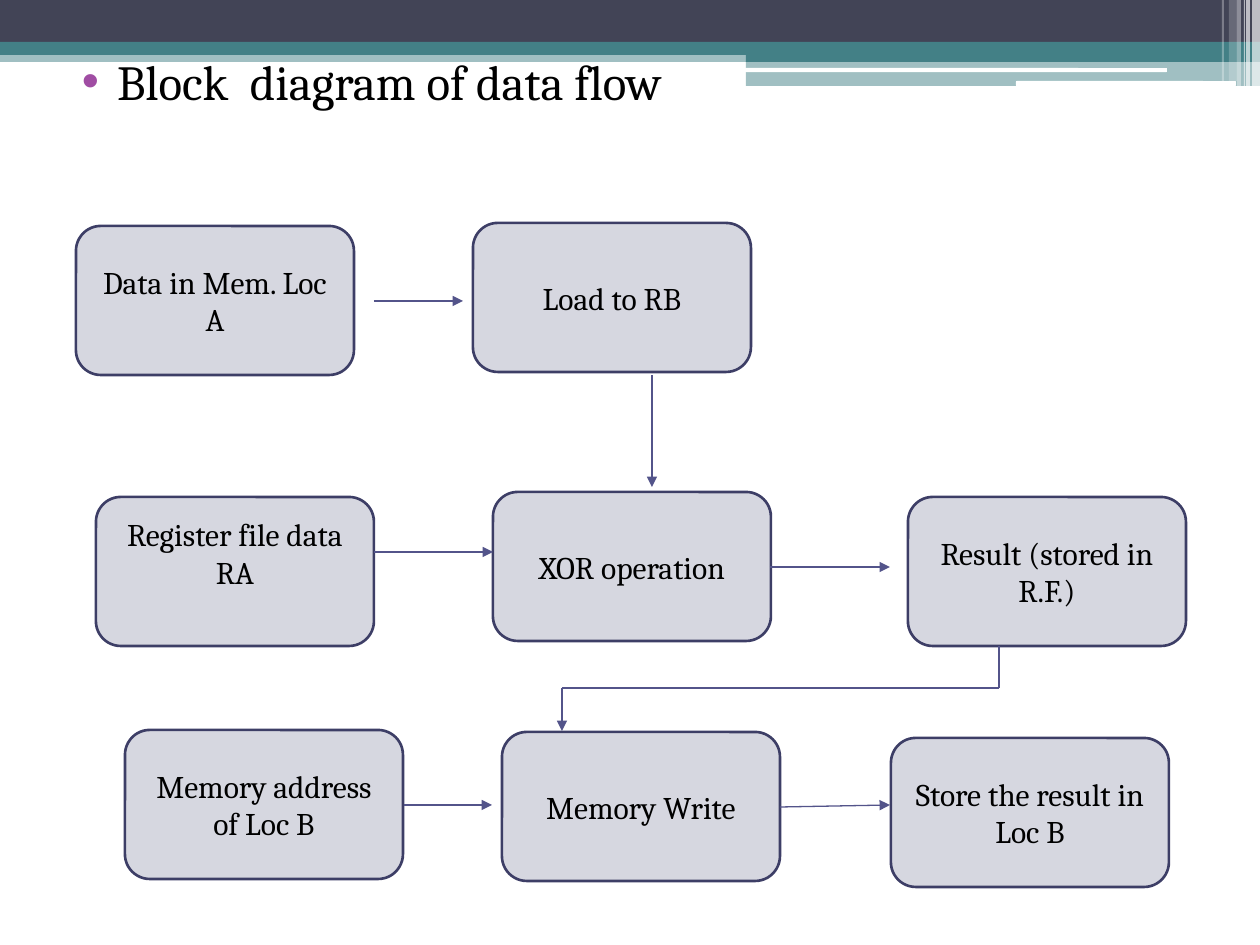
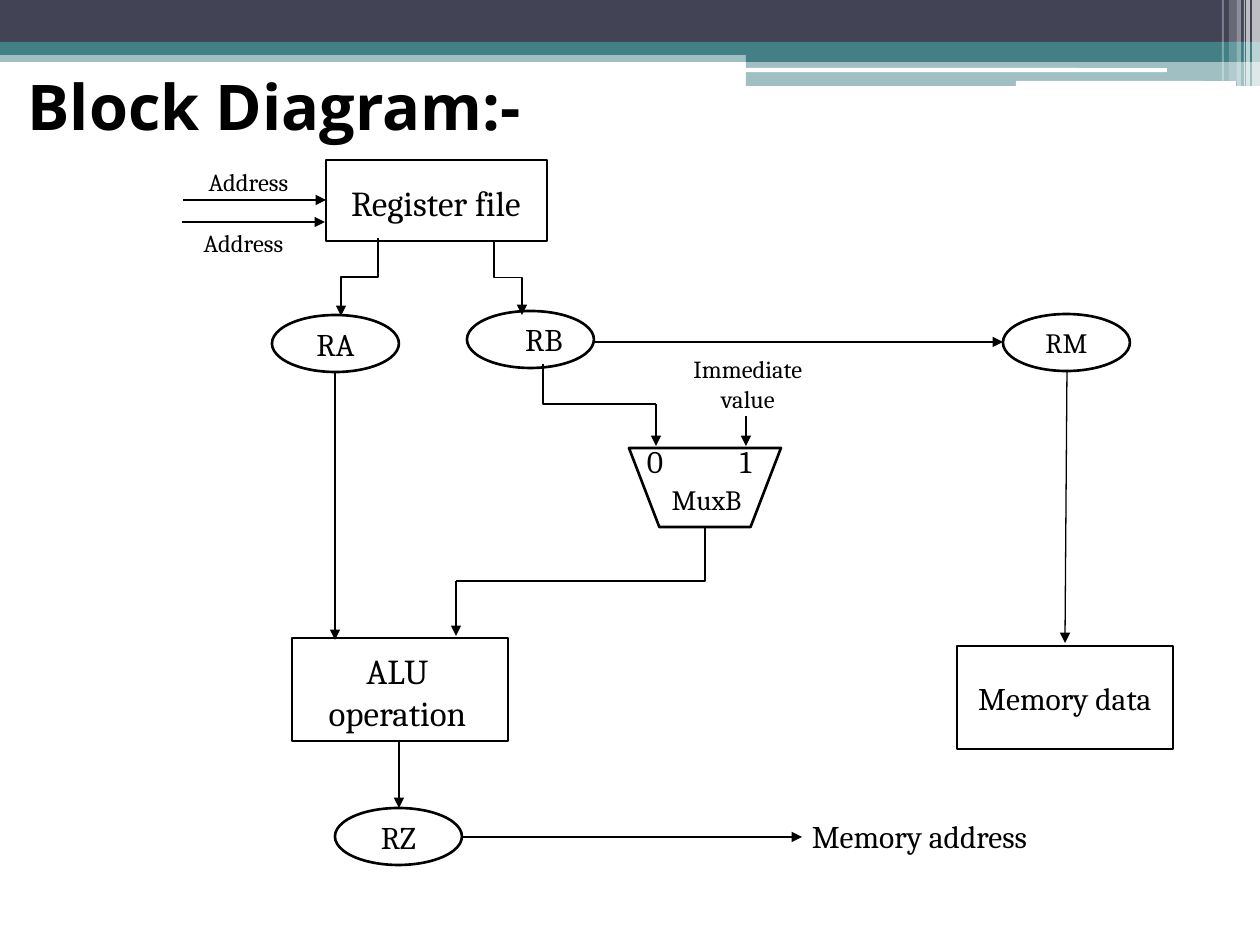
"""Build two slides on a processor data flow."""
from dataclasses import dataclass

from lxml import etree
from pptx import Presentation
from pptx import util as u
from pptx.dml.color import RGBColor
from pptx.enum import shapes, text
from pptx.oxml.ns import qn

EMU_PER_PIXEL = 914400 / 126
COLORS = {
    "slate": "424456", "teal": "438086", "white": "FFFFFF", "black": "000000",
    "box": "D6D7E0", "box_line": "3D3E66", "arrow": "53548A", "bullet": "A04DA3",
}
BODY_FONT, TITLE_FONT = "Cambria", "Open Sans"
KIND = shapes.MSO_SHAPE
WIDTH, HEIGHT = 1260, 945


def px(length):
    """Turn pixels into EMU."""
    return u.Emu(round(length * EMU_PER_PIXEL))


def color(name):
    """Look up a named colour."""
    return RGBColor.from_string(COLORS[name])


def write(frame, content, size, align=text.PP_ALIGN.CENTER, font=BODY_FONT, bold=False):
    """Fill a text frame, one paragraph for each line."""
    frame.text = content
    for paragraph in frame.paragraphs:
        paragraph.alignment = align
        paragraph.font.name = font
        paragraph.font.size = u.Pt(size)
        paragraph.font.bold = bold
        paragraph.font.color.rgb = color("black")


def place(shape, left, top, width, height):
    """Move and size a shape."""
    shape.left, shape.top, shape.width, shape.height = map(px, (left, top, width, height))


@dataclass
class Area:
    """A region of a slide; its parts are placed from its left top corner."""
    slide: object
    left: float
    top: float
    line_color: str = "black"

    def box(self, kind, left, top, width, height, fill="white", line=None, alpha=None):
        """Add a filled preset shape, with an outline if a line colour is given."""
        shape = self.slide.shapes.add_shape(
            kind, px(self.left + left), px(self.top + top), px(width), px(height))
        shape.shadow.inherit = False
        shape.fill.solid()
        shape.fill.fore_color.rgb = color(fill)
        if alpha:
            tint = shape.fill._xPr.find(".//" + qn("a:srgbClr"))
            etree.SubElement(tint, qn("a:alpha"), val=str(alpha * 1000))
        if line:
            shape.line.color.rgb = color(line)
            shape.line.width = u.Pt(1.5)
        else:
            shape.line.fill.background()
        return shape

    def node(self, kind, left, top, width, height, content="", size=18):
        """Add a white outlined block, with centred text if there is any."""
        shape = self.box(kind, left, top, width, height, line="black")
        if content:
            write(shape.text_frame, content, size)
        return shape

    def register(self, left, top, content="", size=18):
        """Add the ellipse of a register."""
        return self.node(KIND.OVAL, left, top, 127, 57, content, size)

    def label(self, left, top, width, height, content, size):
        """Add a centred text box that does not wrap."""
        frame = self.slide.shapes.add_textbox(
            px(self.left + left), px(self.top + top), px(width), px(height)).text_frame
        frame.word_wrap = False
        write(frame, content, size)

    def connector(self, kind, start, end, arrow):
        """Add a thin connector, with an arrowhead at its end if wanted."""
        connector = self.slide.shapes.add_connector(
            kind, px(self.left + start[0]), px(self.top + start[1]),
            px(self.left + end[0]), px(self.top + end[1]))
        connector.line.color.rgb = color(self.line_color)
        connector.line.width = u.Pt(0.75)
        if arrow:
            etree.SubElement(connector.line._get_or_add_ln(), qn("a:tailEnd"), type="triangle")
        etree.SubElement(connector._element.spPr, qn("a:effectLst"))
        return connector

    def route(self, *points):
        """Join points by straight lines; the last one is an arrow."""
        for start, end in zip(points, points[1:]):
            self.connector(shapes.MSO_CONNECTOR.STRAIGHT, start, end, end is points[-1])

    def elbow(self, start, end, bends=2):
        """Add a bent connector that leaves downwards; one with two bends is an arrow."""
        center_x, center_y = (start[0] + end[0]) / 2, (start[1] + end[1]) / 2
        half_width, half_height = abs(end[0] - start[0]) / 2, (end[1] - start[1]) / 2
        side = 1 if end[0] < start[0] else -1
        connector = self.connector(
            shapes.MSO_CONNECTOR.ELBOW,
            (center_x - side * half_height, center_y - half_width),
            (center_x + side * half_height, center_y + half_width), bends == 2)
        properties = connector._element.spPr
        turn = 90 if side == 1 else 270
        properties.find(qn("a:xfrm")).set("rot", str(turn * 60000))
        properties.find(qn("a:prstGeom")).set("prst", f"bentConnector{bends + 1}")


def header_band(slide):
    """Draw the bands and stripes along the top edge."""
    area = Area(slide, 0, 0)
    for left, top, height, fill, alpha in (
            (0, 50, 12, "teal", 50), (0, 0, 43, "slate", None), (0, 42, 13, "teal", None),
            (746, 49, 13, "teal", None), (746, 61, 25, "teal", 50)):
        area.box(KIND.RECTANGLE, left, top, WIDTH - left, height, fill, alpha=alpha)
    area.box(KIND.ROUNDED_RECTANGLE, 745, 68, 422, 4)
    area.box(KIND.ROUNDED_RECTANGLE, 1016, 81, 220, 5)
    for left, width, height, alpha in (
            (1252, 8, 86, 65), (1246, 4, 86, 65), (1244, 1, 86, 60),
            (1237, 4, 86, 40), (1229, 8, 81, 20), (1222, 2, 81, 30)):
        area.box(KIND.RECTANGLE, left, 0, width, height, alpha=alpha)


def bullet_heading(slide, box, content):
    """Put one bulleted line into the body placeholder and drop the title."""
    title = slide.shapes.title._element
    title.getparent().remove(title)
    body = slide.placeholders[1]
    place(body, *box)
    write(body.text_frame, content, 28, text.PP_ALIGN.LEFT)
    paragraph = body.text_frame.paragraphs[0]
    paragraph.space_before = u.Pt(3)
    properties = paragraph._p.get_or_add_pPr()
    properties.set("marL", str(u.Inches(0.4)))
    properties.set("indent", str(u.Inches(-0.28)))
    bullet_color = etree.Element(qn("a:buClr"))
    etree.SubElement(bullet_color, qn("a:srgbClr"), val=COLORS["bullet"])
    bullet = etree.Element(qn("a:buChar"), char="•")
    spacing = properties.find(qn("a:spcBef"))
    spacing.addnext(bullet_color)
    bullet_color.addnext(bullet)


def flow_diagram(slide, left, top):
    """Draw the rounded steps of the data flow and their arrows."""
    area = Area(slide, left, top, "arrow")
    for step_left, step_top, content in (
            (0, 3, "Data in Mem. Loc A"), (397, 0, "Load to RB"),
            (20, 274, "Register file data\nRA"), (417, 269, "XOR operation"),
            (832, 274, "Result (stored in R.F.)"), (49, 507, "Memory address of Loc B"),
            (426, 509, "Memory Write"), (815, 515, "Store the result in Loc B")):
        step = area.box(KIND.ROUNDED_RECTANGLE, step_left, step_top, 278, 149,
                        "box", "box_line")
        write(step.text_frame, content, 18)
        if "\n" in content:
            step.text_frame.margin_bottom = px(44)
    for points in (
            ((298, 78), (387, 78)), ((298, 329), (417, 329)), ((576, 152), (576, 264)),
            ((694, 344), (814, 344)), ((923, 423), (923, 465), (486, 465), (486, 508)),
            ((328, 582), (416, 582)), ((704, 584), (814, 582))):
        area.route(*points)


def slide_title(slide, box, content):
    """Format the title placeholder."""
    title = slide.shapes.title
    place(title, *box)
    frame = title.text_frame
    frame.auto_size = text.MSO_AUTO_SIZE.NONE
    frame.vertical_anchor = text.MSO_ANCHOR.MIDDLE
    write(frame, content, 36, text.PP_ALIGN.LEFT, TITLE_FONT, True)


def register_stage(slide, left, top):
    """Draw the register file, its address inputs and RA and RB."""
    area = Area(slide, left, top)
    area.node(KIND.RECTANGLE, 144, 0, 221, 81)
    area.label(152, 15, 204, 50, "Register file", 20)
    area.label(11, 1, 111, 43, "Address", 14)
    area.label(6, 62, 111, 43, "Address", 14)
    area.route((1, 40), (144, 40))
    area.route((0, 62), (143, 62))
    area.register(90, 155, "RA")
    area.register(285, 151)
    area.label(330, 154, 64, 50, "RB", 18)
    area.elbow((196, 78), (159, 156))
    area.elbow((312, 80), (340, 155))


def mux_stage(slide, left, top):
    """Draw the multiplexer and its two inputs."""
    area = Area(slide, left, top)
    area.node(KIND.FLOWCHART_MANUAL_OPERATION, 86, 100, 152, 79)
    area.label(40, 88, 144, 50, "0", 18)
    area.label(156, 88, 93, 50, "1", 18)
    area.label(116, 128, 95, 47, "MuxB", 16)
    area.label(135, 0, 140, 72, "Immediate\nvalue", 14)
    area.elbow((0, 16), (113, 56), bends=1)
    area.route((113, 56), (113, 98))
    area.route((203, 68), (203, 98))


def alu_stage(slide, left, top):
    """Draw the ALU, its inputs, RZ and the memory address."""
    area = Area(slide, left, top)
    area.node(KIND.RECTANGLE, 1, 110, 216, 103)
    area.label(-38, 115, 289, 97, "ALU\noperation", 20)
    area.elbow((414, 0), (165, 53), bends=1)
    area.route((165, 53), (165, 108))
    area.route((44, -156), (44, 112))
    area.register(44, 280, "RZ")
    area.route((108, 213), (108, 280))
    area.route((172, 309), (511, 309))
    area.label(502, 283, 253, 50, "Memory address", 18)


def memory_stage(slide, left, top):
    """Draw RM and the memory data it feeds."""
    area = Area(slide, left, top)
    area.register(408, 0, "RM", 16)
    area.node(KIND.RECTANGLE, 362, 332, 216, 103, "Memory data")
    area.route((0, 28), (408, 28))
    area.route((472, 56), (470, 329))


def add_slide(presentation, layout):
    """Add a slide with the shared header band."""
    slide = presentation.slides.add_slide(presentation.slide_layouts[layout])
    header_band(slide)
    return slide


def main():
    """Build and save the presentation."""
    presentation = Presentation()
    presentation.slide_width, presentation.slide_height = px(WIDTH), px(HEIGHT)

    flow = add_slide(presentation, 1)
    bullet_heading(flow, (54, 45, 1134, 116), "Block  diagram of data flow")
    flow_diagram(flow, 76, 223)

    datapath = add_slide(presentation, 5)
    slide_title(datapath, (15, 66, 1042, 79), "Block Diagram:-")
    register_stage(datapath, 182, 160)
    mux_stage(datapath, 543, 348)
    alu_stage(datapath, 291, 528)
    memory_stage(datapath, 595, 314)

    presentation.save("out.pptx")


main()
